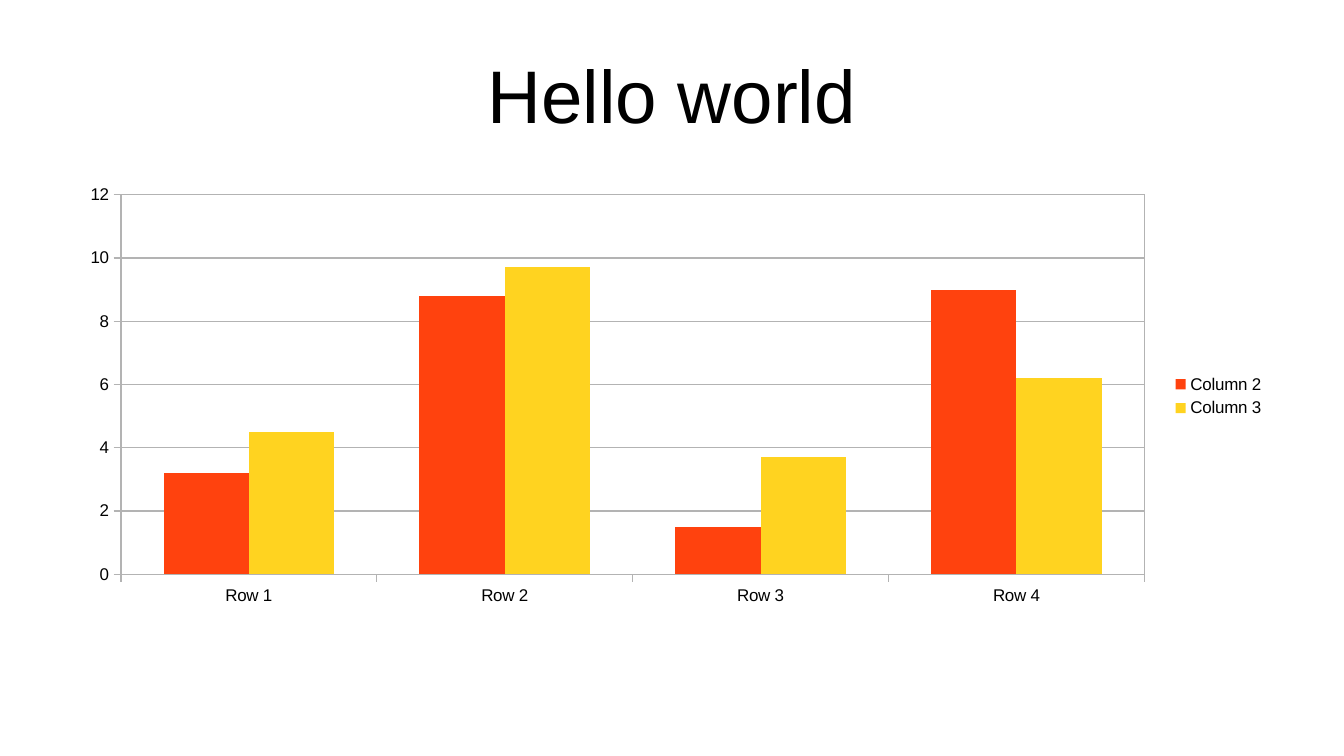
"""Build a slide with a title and a clustered column chart."""
from pptx import Presentation
from pptx.chart.data import CategoryChartData
from pptx.dml.color import RGBColor
from pptx.enum.chart import XL_CHART_TYPE as ChartType, XL_LEGEND_POSITION as LegendPos
from pptx.enum.chart import XL_TICK_MARK as Tick
from pptx.enum.text import MSO_ANCHOR as Anchor, PP_ALIGN as Align
from pptx.oxml import parse_xml
from pptx.oxml.ns import nsdecls
from pptx.util import Pt

BLACK = RGBColor(0x00, 0x00, 0x00)
GRAY = RGBColor(0xB3, 0xB3, 0xB3)
ORANGE = RGBColor(0xFF, 0x42, 0x0E)
YELLOW = RGBColor(0xFF, 0xD3, 0x20)
FONT = "Arial"
LEFT, WIDTH = Pt(39.6), Pt(714.24)

prs = Presentation()
prs.slide_width, prs.slide_height = Pt(793.44), Pt(446.4)
s = prs.slides.add_slide(prs.slide_layouts[5])

title = s.shapes.title
title.left, title.top, title.width, title.height = LEFT, Pt(18), WIDTH, Pt(74.88)
tf = title.text_frame
tf.text = "Hello world"
tf.vertical_anchor = Anchor.MIDDLE
tf.margin_left = tf.margin_top = tf.margin_right = tf.margin_bottom = 0
p = tf.paragraphs[0]
p.alignment = Align.CENTER
r = p.runs[0]
r.font.name, r.font.size, r.font.color.rgb = FONT, Pt(44), BLACK

data = CategoryChartData()
data.categories = ["Row 1", "Row 2", "Row 3", "Row 4"]
data.add_series("Column 2", [3.2, 8.8, 1.5, 9])
data.add_series("Column 3", [4.5, 9.7, 3.7, 6.2])
chart = s.shapes.add_chart(
    ChartType.COLUMN_CLUSTERED, LEFT, Pt(104.4), WIDTH, Pt(259.2), data
).chart
chart.has_title = False
chart.font.name, chart.font.size, chart.font.color.rgb = FONT, Pt(10), BLACK

chart.has_legend = True
chart.legend.position = LegendPos.RIGHT
chart.legend.include_in_layout = False

plot = chart.plots[0]
plot.gap_width, plot.overlap = 100, 0
plot.vary_by_categories = False
for series, color in zip(plot.series, (ORANGE, YELLOW)):
    series.format.fill.solid()
    series.format.fill.fore_color.rgb = color

values = chart.value_axis
values.minimum_scale, values.maximum_scale, values.major_unit = 0, 12, 2
values.has_major_gridlines = True
for axis in (chart.category_axis, values):
    axis.major_tick_mark, axis.minor_tick_mark = Tick.OUTSIDE, Tick.NONE
for part in (chart.category_axis, values, values.major_gridlines):
    part.format.line.color.rgb = GRAY
    part.format.line.width = Pt(0)

plot_area = chart.element.find(".//{*}plotArea")
for layout in plot_area.findall("{*}layout"):
    plot_area.remove(layout)
box = {"x": 0.0445, "y": 0.041, "w": 0.846, "h": 0.865}
places = "".join(f'<c:{side} val="{share}"/>' for side, share in box.items())
plot_area.insert(0, parse_xml(
    f'<c:layout {nsdecls("c")}><c:manualLayout><c:layoutTarget val="inner"/>'
    f'<c:xMode val="edge"/><c:yMode val="edge"/>{places}</c:manualLayout></c:layout>'))
plot_area.append(parse_xml(
    f'<c:spPr {nsdecls("c", "a")}><a:noFill/><a:ln w="0"><a:solidFill>'
    f'<a:srgbClr val="{GRAY}"/></a:solidFill></a:ln></c:spPr>'))

prs.save("out.pptx")
